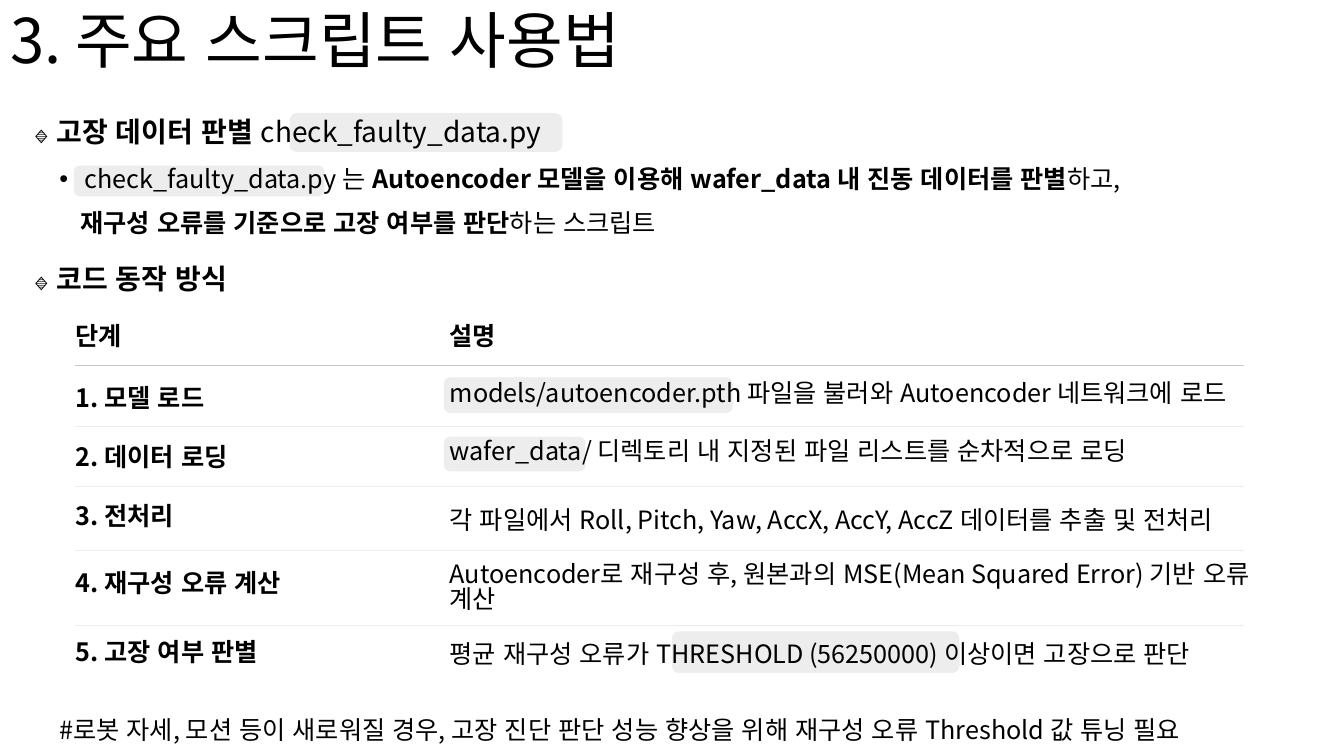
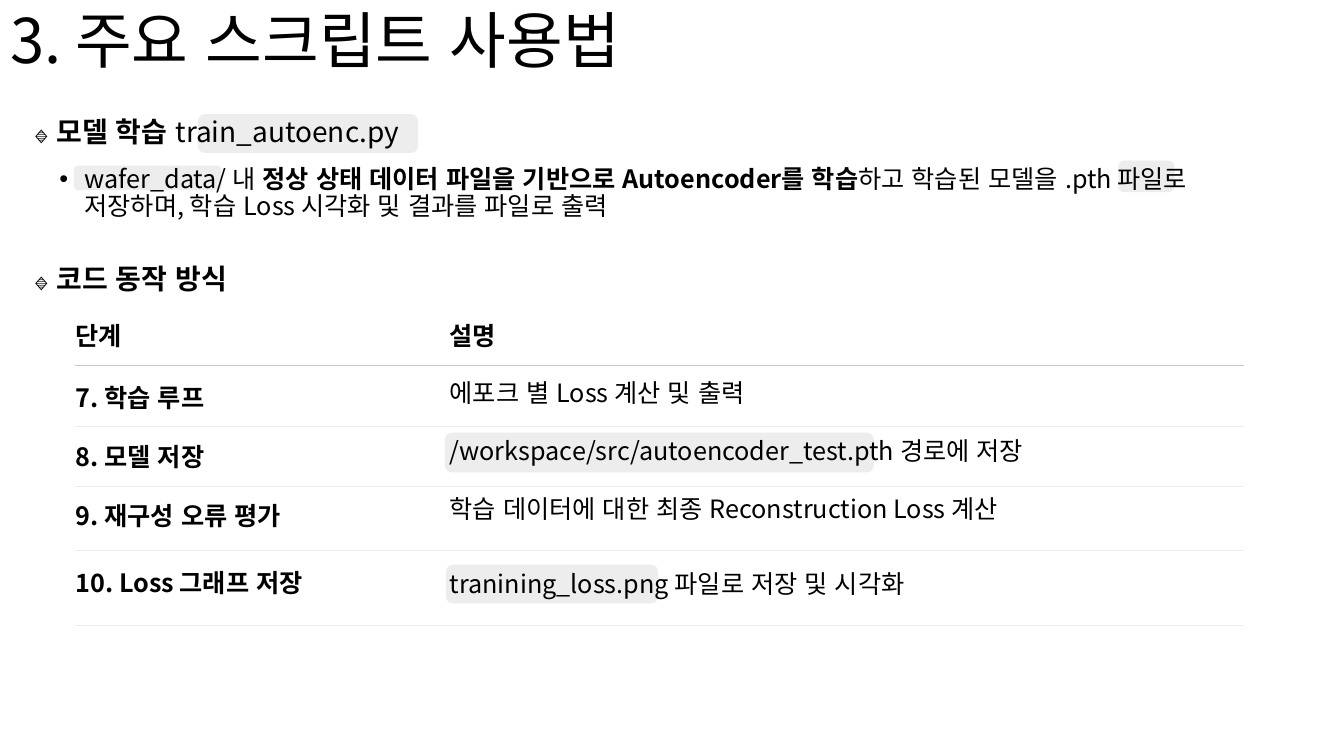
"""Build two slides that explain how the main scripts are used."""
import dataclasses
import itertools

import pptx
import pptx.dml.color
import pptx.enum.lang
import pptx.enum.shapes
import pptx.enum.text
import pptx.oxml
import pptx.oxml.ns
import pptx.util

Inches = pptx.util.Inches
Pt = pptx.util.Pt


@dataclasses.dataclass(frozen=True)
class Theme:
    """Colours, type and spacing that the slides share."""
    font: str = "Noto Sans CJK KR"
    ink: str = "000000"
    code_grey: str = "EDEDED"
    header_rule: str = "C9C9C9"
    title_size: int = 44
    heading_size: int = 20
    marker_size: int = 14
    body_size: int = 18
    line_spacing: float = 0.9
    paragraph_gap: int = 12
    cell_line: int = 21
    tight_cell_line: float = 17.5


THEME = Theme()
TITLE = "3. 주요 스크립트 사용법"
FLOW_HEADING = "코드 동작 방식"
COLUMN_HEADS = ("단계", "설명")
TABLE_LEFT, TABLE_TOP = 0.74, 3.16
RULE_RIGHT = 12.34
COLUMN_WIDTHS = (3.71, 8)
ROW_HEIGHTS = (0.46, 0.61, 0.6, 0.63, 0.74, 0.65)
STEP_INSETS = (0.05, 0.2, 0.18, 0.16, 0.2, 0.14)
NO_GRID_STYLE = "{2D5ABB26-0587-4C30-8999-92F81FD0307C}"


def rgb(colour):
    """Return a colour object for a hex string."""
    return pptx.dml.color.RGBColor.from_string(colour)


def add_run(paragraph, text, size=THEME.body_size, bold=False):
    """Add one Korean run in the shared font."""
    run = paragraph.add_run()
    run.text = text
    run.font.size = Pt(size)
    run.font.bold = bold
    run.font.color.rgb = rgb(THEME.ink)
    run.font.name = THEME.font
    run.font.language_id = pptx.enum.lang.MSO_LANGUAGE_ID.KOREAN
    properties = run.font._element
    properties.set("kern", "1200")
    east_asian = pptx.oxml.parse_xml(
        f'<a:ea {pptx.oxml.ns.nsdecls("a")} typeface="{THEME.font}"/>')
    properties.find(pptx.oxml.ns.qn("a:latin")).addnext(east_asian)


def add_title(slide):
    """Place and format the title placeholder."""
    title = slide.shapes.title
    title.left, title.top = Inches(0), Inches(0)
    title.width, title.height = Inches(11.5), Inches(0.87)
    frame = title.text_frame
    frame.auto_size = pptx.enum.text.MSO_AUTO_SIZE.NONE
    frame.vertical_anchor = pptx.enum.text.MSO_ANCHOR.MIDDLE
    line = frame.paragraphs[0]
    line.alignment = pptx.enum.text.PP_ALIGN.LEFT
    line.line_spacing = THEME.line_spacing
    add_run(line, TITLE, THEME.title_size)


def add_highlight(slide, left, top, width, height):
    """Draw the grey plate behind a piece of code."""
    plate = slide.shapes.add_shape(
        pptx.enum.shapes.MSO_SHAPE.ROUNDED_RECTANGLE,
        Inches(left), Inches(top), Inches(width), Inches(height))
    plate.shadow.inherit = False
    plate.fill.solid()
    plate.fill.fore_color.rgb = rgb(THEME.code_grey)
    plate.line.color.rgb = rgb(THEME.code_grey)
    plate.line.width = Pt(1)


def add_text_frame(slide, left, top, width, height):
    """Add a wrapping text box and return its frame."""
    box = slide.shapes.add_textbox(
        Inches(left), Inches(top), Inches(width), Inches(height))
    box.text_frame.word_wrap = True
    box.text_frame.paragraphs[0].line_spacing = THEME.line_spacing
    return box.text_frame


def add_heading(slide, top, label, script=None):
    """Add a section heading, with a script name if there is one."""
    line = add_text_frame(slide, 0.24, top, 5.37, 0.48).paragraphs[0]
    add_run(line, "🔹", THEME.marker_size)
    add_run(line, f" {label}" + (" " if script else ""),
            THEME.heading_size, True)
    if script:
        add_run(line, script, THEME.heading_size)


def indent(paragraph, margin, bullet=None):
    """Indent a paragraph, hanging its bullet if it has one."""
    properties = paragraph._p.get_or_add_pPr()
    properties.set("marL", str(Inches(margin)))
    properties.set("indent", str(-Inches(margin) if bullet else 0))
    if bullet:
        names = pptx.oxml.ns.nsdecls("a")
        properties.append(pptx.oxml.parse_xml(
            f'<a:buFont {names} typeface="Arial"/>'))
        properties.append(pptx.oxml.parse_xml(
            f'<a:buChar {names} char="{bullet}"/>'))


def add_summary(slide, width, height, lines):
    """Add the bulleted summary; each line is a list of text and bold."""
    frame = add_text_frame(slide, 0.49, 1.6, width, height)
    for index, pieces in enumerate(lines):
        if index:
            line = frame.add_paragraph()
            indent(line, 0.21)
            line.line_spacing = THEME.line_spacing
            line.space_before = Pt(THEME.paragraph_gap)
        else:
            line = frame.paragraphs[0]
            indent(line, 0.25, "•")
        for text, bold in pieces:
            add_run(line, text, bold=bold)


def add_rule(slide, top, colour):
    """Draw one thin rule under a table row."""
    rule = slide.shapes.add_connector(
        pptx.enum.shapes.MSO_CONNECTOR.STRAIGHT,
        Inches(TABLE_LEFT), Inches(top), Inches(RULE_RIGHT), Inches(top))
    rule.line.color.rgb = rgb(colour)
    rule.line.width = Pt(0.5)
    rule._element.spPr.append(pptx.oxml.parse_xml(
        f'<a:effectLst {pptx.oxml.ns.nsdecls("a")}/>'))


def fill_cell(cell, text, inset, bold, spacing):
    """Write a cell that lets the code plates show through."""
    cell.margin_left, cell.margin_right = Inches(0.01), Inches(0)
    cell.margin_top, cell.margin_bottom = Inches(inset), Inches(0)
    cell.vertical_anchor = pptx.enum.text.MSO_ANCHOR.TOP
    cell.fill.background()
    line = cell.text_frame.paragraphs[0]
    line.line_spacing = Pt(spacing)
    add_run(line, text, bold=bold)


def add_step_table(slide, steps, tight_row=None):
    """Add the table of steps; a step is name, description and inset."""
    rows = [(*COLUMN_HEADS, STEP_INSETS[0]), *steps]
    heights = ROW_HEIGHTS[:len(rows)]
    table = slide.shapes.add_table(
        len(rows), len(COLUMN_WIDTHS), Inches(TABLE_LEFT), Inches(TABLE_TOP),
        Inches(sum(COLUMN_WIDTHS)), Inches(sum(heights))).table
    table.first_row = table.horz_banding = False
    style = table._tbl.tblPr.find(pptx.oxml.ns.qn("a:tableStyleId"))
    style.text = NO_GRID_STYLE
    for column, width in zip(table.columns, COLUMN_WIDTHS):
        column.width = Inches(width)
    for index, (name, description, inset) in enumerate(rows):
        table.rows[index].height = Inches(heights[index])
        spacing = (THEME.tight_cell_line if index == tight_row
                   else THEME.cell_line)
        fill_cell(table.cell(index, 0), name, STEP_INSETS[index], True,
                  THEME.cell_line)
        fill_cell(table.cell(index, 1), description, inset, index == 0,
                  spacing)
    bottoms = itertools.accumulate(ROW_HEIGHTS[:-1], initial=TABLE_TOP)
    for index, bottom in enumerate(itertools.islice(bottoms, 1, None)):
        add_rule(slide, bottom,
                 THEME.code_grey if index else THEME.header_rule)


def start_slide(deck, highlights):
    """Add a slide with its title, code plates and flow heading."""
    slide = deck.slides.add_slide(deck.slide_layouts[5])
    add_title(slide)
    for area in highlights:
        add_highlight(slide, *area)
    add_heading(slide, 2.58, FLOW_HEADING)
    return slide


def build_check_slide(deck):
    """Build the slide on finding faulty data."""
    slide = start_slide(deck, [
        (6.67, 6.27, 2.84, 0.4), (4.41, 4.34, 1.39, 0.33),
        (4.41, 3.75, 2.85, 0.34), (0.74, 1.65, 2.47, 0.29),
        (2.88, 1.13, 2.69, 0.37)])
    add_heading(slide, 1.12, "고장 데이터 판별", "check_faulty_data.py")
    add_summary(slide, 11.26, 0.89, [
        [("check_faulty_data.py 는 ", False),
         ("Autoencoder 모델을 이용해 wafer_data 내 진동 데이터를 판별", True),
         ("하고,", False)],
        [("재구성 오류를 기준으로 고장 여부를 판단", True),
         ("하는 스크립트", False)]])
    add_step_table(slide, [
        ("1. 모델 로드",
         "models/autoencoder.pth 파일을 불러와 Autoencoder 네트워크에 로드",
         0.15),
        ("2. 데이터 로딩",
         "wafer_data/ 디렉토리 내 지정된 파일 리스트를 순차적으로 로딩", 0.12),
        ("3. 전처리",
         "각 파일에서 Roll, Pitch, Yaw, AccX, AccY, AccZ 데이터를 추출 및 전처리",
         0.2),
        ("4. 재구성 오류 계산",
         "Autoencoder로 재구성 후, 원본과의 MSE(Mean Squared Error) 기반 오류 계산",
         0.16),
        ("5. 고장 여부 판별",
         "평균 재구성 오류가 THRESHOLD (56250000) 이상이면 고장으로 판단", 0.16),
    ], tight_row=4)
    note = add_text_frame(slide, 0.49, 7.07, 12.39, 0.43).paragraphs[0]
    add_run(note, "#로봇 자세, 모션 등이 새로워질 경우, 고장 진단 판단 성능 향상을 위해 "
                  "재구성 오류 Threshold 값 튜닝 필요")


def build_training_slide(deck):
    """Build the slide on training the model."""
    slide = start_slide(deck, [
        (4.42, 4.3, 4.24, 0.38), (4.43, 5.61, 2.09, 0.37),
        (11.1, 1.6, 0.54, 0.3), (0.74, 1.65, 1.45, 0.23),
        (1.97, 1.14, 2.17, 0.37)])
    add_heading(slide, 1.12, "모델 학습", "train_autoenc.py")
    add_summary(slide, 11.78, 1.28, [
        [("wafer_data/ 내 ", False),
         ("정상 상태 데이터 파일을 기반으로 Autoencoder를 학습", True),
         ("하고 학습된 모델을 .pth 파일로 저장하며, 학습 Loss 시각화 및 "
          "결과를 파일로 출력", False)]])
    add_step_table(slide, [
        ("7. 학습 루프", "에포크 별 Loss 계산 및 출력", 0.15),
        ("8. 모델 저장", "/workspace/src/autoencoder_test.pth 경로에 저장", 0.12),
        ("9. 재구성 오류 평가",
         "학습 데이터에 대한 최종 Reconstruction Loss 계산", 0.09),
        ("10. Loss 그래프 저장",
         "tranining_loss.png 파일로 저장 및 시각화", 0.21),
    ])


def main():
    """Build and save the deck."""
    deck = pptx.Presentation()
    deck.slide_width, deck.slide_height = Inches(13.33), Inches(7.5)
    build_check_slide(deck)
    build_training_slide(deck)
    deck.save("out.pptx")


if __name__ == "__main__":
    main()
